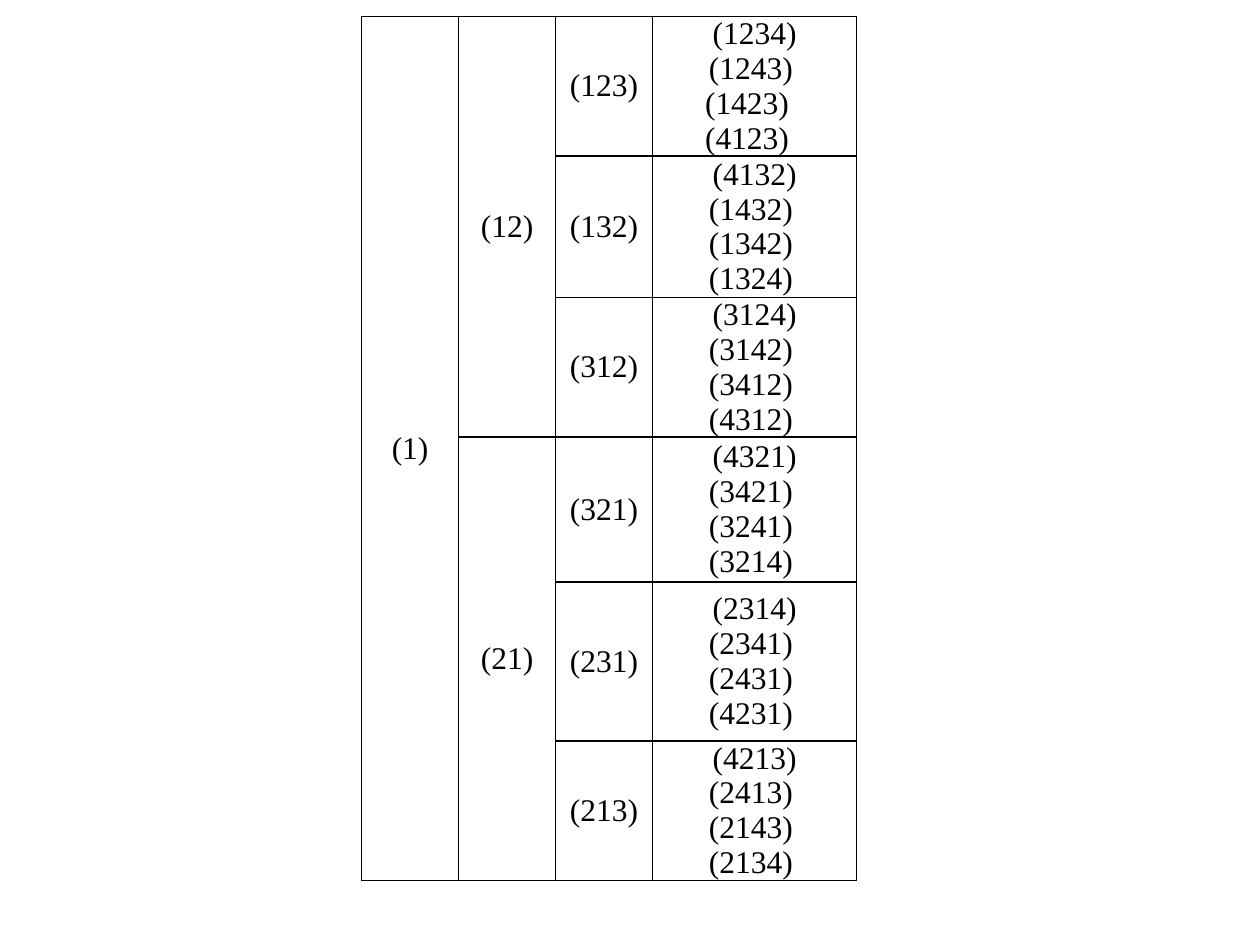
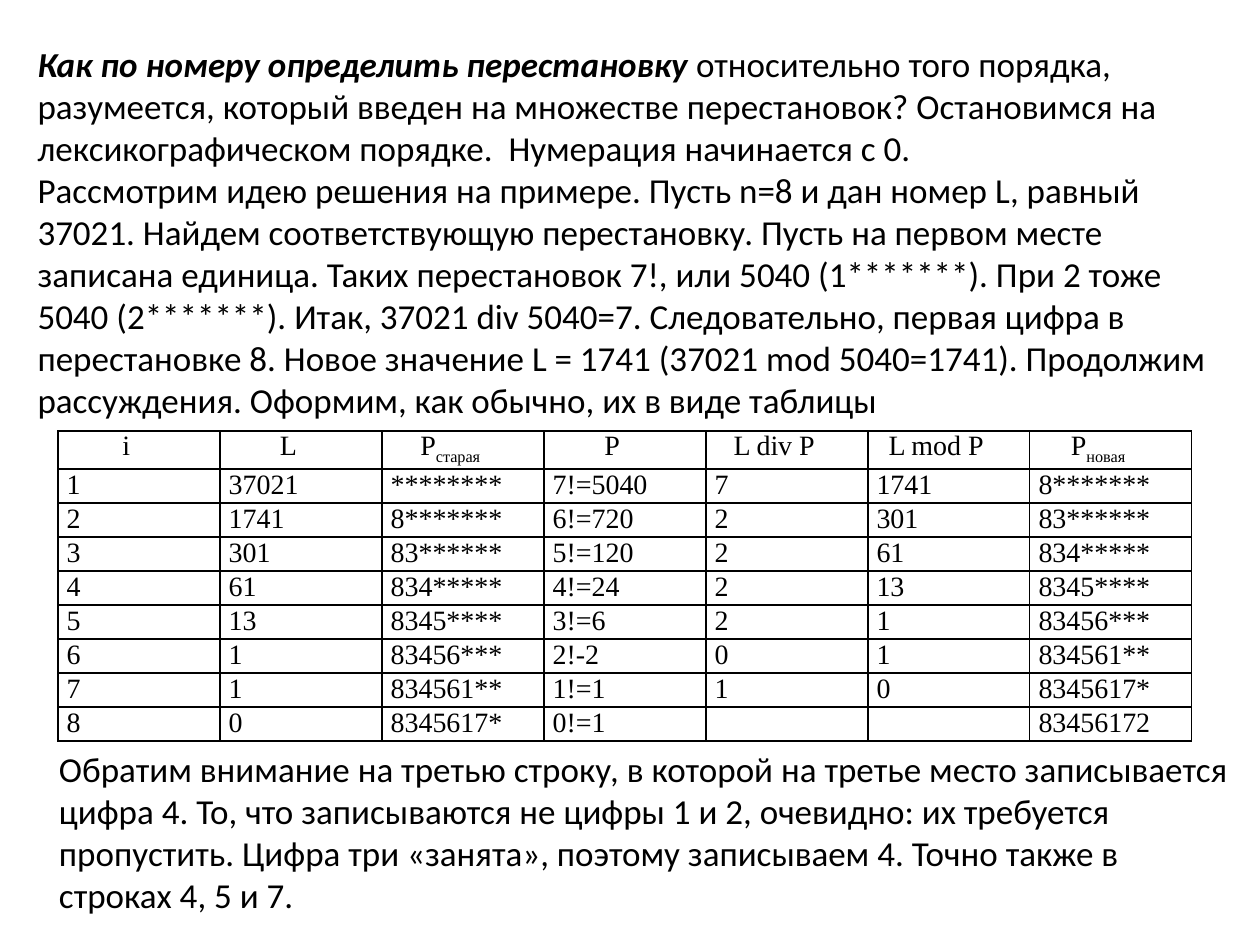
from pptx import Presentation
from pptx.dml.color import RGBColor
from pptx.enum import text
from pptx.oxml import parse_xml
from pptx.oxml.ns import nsdecls
from pptx.util import Inches, Pt

BLACK = "000000"
SERIF, SANS = "Times New Roman", "Calibri"
CENTER, JUSTIFY = text.PP_ALIGN.CENTER, text.PP_ALIGN.JUSTIFY


def colour(hex_code):
    return RGBColor.from_string(hex_code)


class Slides:
    """Holds the deck, its style and the current page."""

    def __init__(self):
        self.deck = Presentation()
        self.deck.slide_width, self.deck.slide_height = Inches(10), Inches(7.5)
        self.page = None

    def new_page(self):
        self.page = self.deck.slides.add_slide(self.deck.slide_layouts[6])

    def style(self, para, font_name, size, align=None):
        para.alignment = align
        para.font.name, para.font.size = font_name, Pt(size)
        para.font.color.rgb = colour(BLACK)

    def text_box(self, left, top, width, height, paragraphs):
        """Each paragraph is a list of (words, emphasised) spans."""
        box = self.page.shapes.add_textbox(
            Inches(left), Inches(top), Inches(width), Inches(height))
        frame = box.text_frame
        frame.word_wrap = True
        frame.auto_size = text.MSO_AUTO_SIZE.SHAPE_TO_FIT_TEXT
        for number, spans in enumerate(paragraphs):
            para = frame.add_paragraph() if number else frame.paragraphs[0]
            self.style(para, SANS, 20)
            for words, emphasised in spans:
                span = para.add_run()
                span.text = words
                if emphasised:
                    span.font.bold = span.font.italic = True

    def table(self, left, top, widths, heights):
        table = self.page.shapes.add_table(
            len(heights), len(widths), Inches(left), Inches(top),
            Inches(sum(widths)), Inches(sum(heights))).table
        table.first_row = table.horz_banding = False
        for column, width in zip(table.columns, widths):
            column.width = Inches(width)
        for row, height in zip(table.rows, heights):
            row.height = Inches(height)
        for cell in table.iter_cells():
            self.border(cell)
            cell.fill.background()
        return table

    def border(self, cell):
        for side in ("lnL", "lnR", "lnT", "lnB"):
            cell._tc.get_or_add_tcPr().append(parse_xml(
                f'<a:{side} {nsdecls("a")} w="12700"><a:solidFill>'
                f'<a:srgbClr val="{BLACK}"/></a:solidFill></a:{side}>'))

    def fill_cell(self, cell, lines, size, align, side_margin):
        cell.margin_left = cell.margin_right = Inches(side_margin)
        cell.margin_top = cell.margin_bottom = 0
        cell.text = "\n".join(lines)
        for para in cell.text_frame.paragraphs:
            self.style(para, SERIF, size, align)
            if not para.runs:  # keeps an empty cell from stretching its row
                para._p.append(parse_xml(
                    f'<a:endParaRPr {nsdecls("a")} sz="{size * 100}">'
                    f'<a:latin typeface="{SERIF}"/></a:endParaRPr>'))


# Permutations of three, their extensions to four, and each line's left shift
EXTENSIONS = [
    ("123", "1234 1243 1423 4123", (0, 1, 2, 0)),
    ("132", "4132 1432 1342 1324", (0, 1, 1, 0)),
    ("312", "3124 3142 3412 4312", (0, 1, 0, 0)),
    ("321", "4321 3421 3241 3214", (0, 1, 1, 0)),
    ("231", "2314 2341 2431 4231", (0, 1, 1, 0)),
    ("213", "4213 2413 2143 2134", (0, 1, 0, 0)),
]
SHIFT = 0.06

# L, P, L div P and L mod P for each step
STEPS = [
    ("37021", "7!=5040", "7", "1741"),
    ("1741", "6!=720", "2", "301"),
    ("301", "5!=120", "2", "61"),
    ("61", "4!=24", "2", "13"),
    ("13", "3!=6", "2", "1"),
    ("1", "2!-2", "0", "1"),
    ("1", "1!=1", "1", "0"),
    ("0", "0!=1", "", ""),
]
ANSWER = "83456172"
HEADINGS = [("i", ""), ("L", ""), ("P", "старая"), ("P", ""),
            ("L div P", ""), ("L mod P", ""), ("P", "новая")]

INTRO = [
    [("Как по номеру определить перестановку", True),
     (" относительно того порядка, разумеется, который введен на множестве "
      "перестановок? Остановимся на лексикографическом порядке.  Нумерация "
      "начинается с 0.", False)],
    [("Рассмотрим идею решения на примере. Пусть n=8 и дан номер L, равный 37021. "
      "Найдем соответствующую перестановку. Пусть на первом месте записана единица. "
      "Таких перестановок 7!, или 5040 (1*******). При 2 тоже 5040 (2*******). "
      "Итак, 37021 div 5040=7. Следовательно, первая цифра в перестановке 8. "
      "Новое значение L = 1741 (37021 mod 5040=1741). Продолжим рассуждения. "
      "Оформим, как обычно, их в виде таблицы", False)],
]
REMARK = [
    [("Обратим внимание на третью строку, в которой на третье место записывается "
      "цифра 4. То, что записываются не цифры 1 и 2, очевидно: их требуется "
      "пропустить. Цифра три «занята», поэтому записываем 4. Точно также в "
      "строках 4, 5 и 7.", False)],
]


def permutation_tree(slides):
    slides.new_page()
    table = slides.table(2.87, 0.13, [0.77, 0.77, 0.77, 1.62],
                         [1.11, 1.12, 1.11, 1.15, 1.26, 1.11])

    def write(row, column, permutations):
        cell = table.cell(row, column)
        slides.fill_cell(cell, [f"({p})" for p in permutations], 18, CENTER, 0.02)
        cell.vertical_anchor = text.MSO_ANCHOR.MIDDLE
        return cell

    # Merged ancestors
    for row, column, last_row, permutation in (
            (0, 0, 5, "1"), (0, 1, 2, "12"), (3, 1, 5, "21")):
        table.cell(row, column).merge(table.cell(last_row, column))
        write(row, column, [permutation])

    # Three elements and their extensions
    for row, (parent, children, shifts) in enumerate(EXTENSIONS):
        write(row, 2, [parent])
        cell = write(row, 3, children.split())
        for para, shift in zip(cell.text_frame.paragraphs, shifts):
            if shift:
                para._p.get_or_add_pPr().set("marR", str(Inches(shift * SHIFT)))


def permutation_by_number(slides):
    slides.new_page()
    slides.text_box(0.2, 0.29, 9.53, 3.13, INTRO)
    table = slides.table(0.46, 3.42, [9 / 7] * 7, [0.3] + [0.27] * len(STEPS))

    # Headings, set a little left of the middle
    for column, (name, subscript) in enumerate(HEADINGS):
        cell = table.cell(0, column)
        slides.fill_cell(cell, [name], 16, CENTER, 0.07)
        cell.margin_right = Inches(0.27)
        if subscript:
            span = cell.text_frame.paragraphs[0].add_run()
            span.text = subscript
            span.font._element.set("baseline", "-25000")

    # One digit of the answer becomes known at each step
    for step, (number, factorial, quotient, remainder) in enumerate(STEPS, 1):
        old, new = (ANSWER[:known].ljust(8, "*") for known in (step - 1, step))
        if step == len(STEPS) - 1:
            new = ANSWER[:step] + "*"
        values = (str(step), number, old, factorial, quotient, remainder, new)
        for column, value in enumerate(values):
            slides.fill_cell(table.cell(step, column), [value], 16, JUSTIFY, 0.07)

    slides.text_box(0.37, 5.88, 9.53, 1.45, REMARK)


def main():
    slides = Slides()
    permutation_tree(slides)
    permutation_by_number(slides)
    slides.deck.save("out.pptx")


if __name__ == "__main__":
    main()
